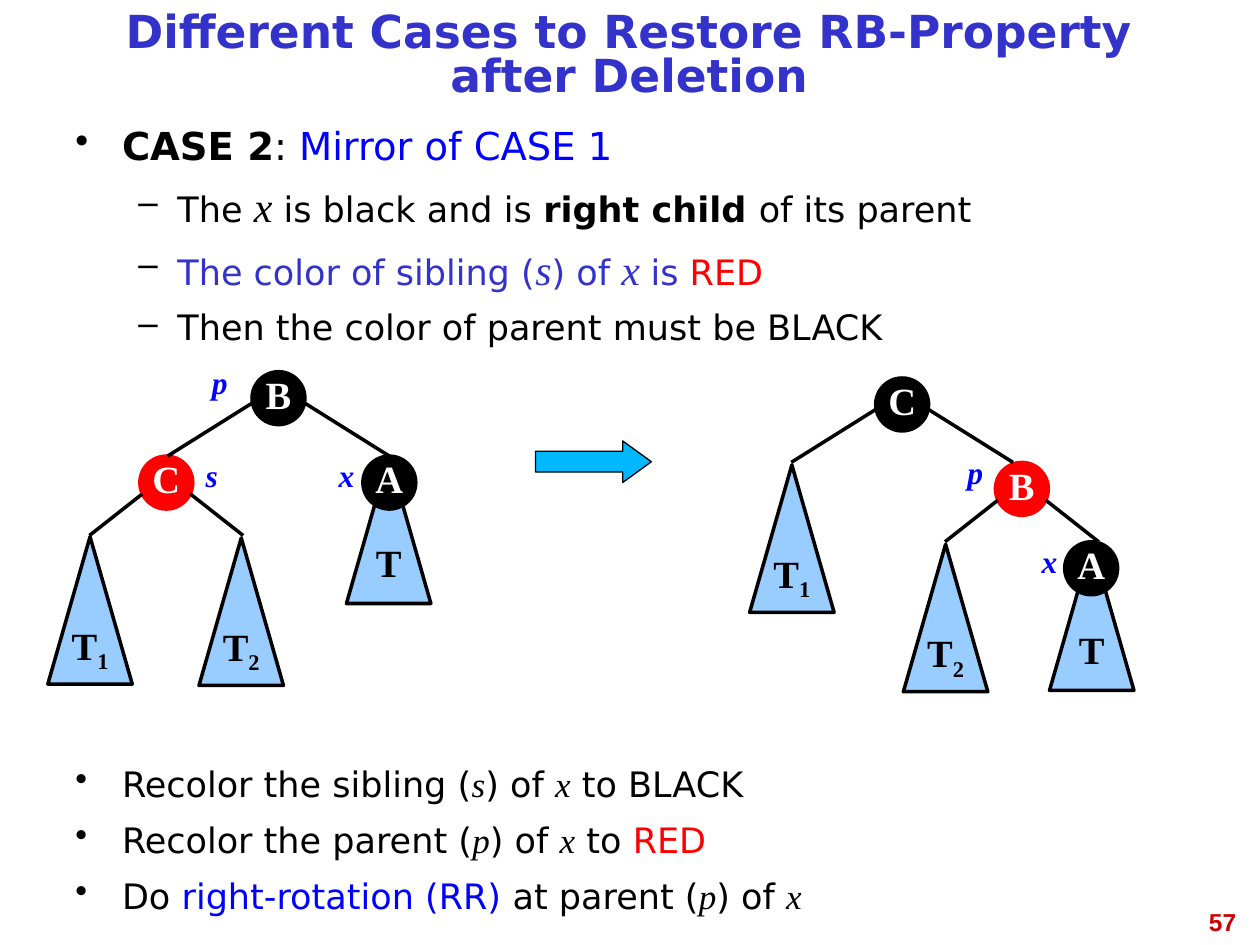
from lxml.etree import SubElement
from pptx import Presentation
from pptx.dml.color import RGBColor
from pptx.enum.shapes import MSO_CONNECTOR, MSO_SHAPE
from pptx.enum.text import MSO_ANCHOR, PP_ALIGN
from pptx.oxml.ns import qn
from pptx.util import Inches, Pt

SANS, SERIF = "DejaVu Sans", "Times New Roman"
BLACK, WHITE, RED, BLUE, INDIGO = "000000", "FFFFFF", "FF0000", "0000FF", "3333CC"
SUBTREE_BLUE, ARROW_BLUE, NUMBER_RED = "99CCFF", "00B8FF", "CC0000"
NODE_SIZE, TREE_WIDTH, TREE_HEIGHT = 0.42, 0.67, 1.17


def color(value):
    return RGBColor.from_string(value)


def variable(text, size=20, ink=BLACK):
    """An italic serif variable name inside a sentence."""
    return text, dict(size=size, ink=ink, face=SERIF, italic=True)


class SlideBuilder:
    def __init__(self, slide):
        self.slide = slide

    def style(self, span, size=20, ink=BLACK, face=SANS, bold=False, italic=False):
        font = span.font
        font.size, font.name, font.bold, font.italic = Pt(size), face, bold, italic
        font.color.rgb = color(ink)

    def text(self, left, top, width, height, words, align=PP_ALIGN.CENTER,
             anchor=MSO_ANCHOR.TOP, spacing=None, **look):
        box = self.slide.shapes.add_textbox(
            Inches(left), Inches(top), Inches(width), Inches(height))
        frame = box.text_frame
        frame.word_wrap = True
        frame.vertical_anchor = anchor
        frame.text = words
        para = frame.paragraphs[0]
        para.alignment = align
        if spacing:
            para.line_spacing = spacing
        self.style(para.runs[0], **look)

    def label(self, left, top, width, words):
        self.text(left, top, width, 0.4, words, size=18, ink=BLUE, face=SERIF,
                  bold=True, italic=True)

    def bullets(self, left, top, width, height, items):
        """Each item is (level, spans); each span is (words, look)."""
        box = self.slide.shapes.add_textbox(
            Inches(left), Inches(top), Inches(width), Inches(height))
        frame = box.text_frame
        frame.word_wrap = True
        for index, (level, spans) in enumerate(items):
            para = frame.add_paragraph() if index else frame.paragraphs[0]
            mark, margin, indent, gap = [("•", 0.37, -0.37, 8), ("–", 0.81, -0.31, 7)][level]
            properties = para._p.get_or_add_pPr()
            properties.set("marL", str(Inches(margin)))
            properties.set("indent", str(Inches(indent)))
            tint = SubElement(properties, qn("a:buClr"))
            SubElement(tint, qn("a:srgbClr")).set("val", BLACK)
            SubElement(properties, qn("a:buChar")).set("char", mark)
            para.level = level
            para.alignment = PP_ALIGN.JUSTIFY
            if index:
                para.space_before = Pt(gap)
            for words, look in spans:
                span = para.add_run()
                span.text = words
                self.style(span, **look)

    def shape(self, kind, left, top, width, height, fill, line=BLACK, weight=2):
        shape = self.slide.shapes.add_shape(
            kind, Inches(left), Inches(top), Inches(width), Inches(height))
        shape.shadow.inherit = False
        shape.fill.solid()
        shape.fill.fore_color.rgb = color(fill)
        shape.line.color.rgb = color(line)
        shape.line.width = Pt(weight)
        return shape

    def caption(self, shape, words, ink, subscript=""):
        frame = shape.text_frame
        frame.word_wrap = False
        frame.vertical_anchor = MSO_ANCHOR.MIDDLE
        frame.text = words
        para = frame.paragraphs[0]
        para.alignment = PP_ALIGN.CENTER
        para.line_spacing = 0.81
        if subscript:
            span = para.add_run()
            span.text = subscript
            span.font._element.set("baseline", "-25000")
        for span in para.runs:
            self.style(span, size=22, ink=ink, face=SERIF, bold=True)

    def node(self, left, top, name, fill=BLACK):
        circle = self.shape(MSO_SHAPE.OVAL, left, top, NODE_SIZE, NODE_SIZE, fill, fill)
        self.caption(circle, name, WHITE)

    def subtree(self, left, top, subscript=""):
        triangle = self.shape(MSO_SHAPE.ISOSCELES_TRIANGLE, left, top,
                              TREE_WIDTH, TREE_HEIGHT, SUBTREE_BLUE)
        self.caption(triangle, "T", BLACK, subscript)

    def fork(self, left, top, start, reach):
        """Two mirrored edges below a node; start is measured from its centre."""
        middle_x, middle_y = left + NODE_SIZE / 2, top + NODE_SIZE / 2
        for side in (-1, 1):
            x, y = middle_x + side * start[0], middle_y + start[1]
            edge = self.slide.shapes.add_connector(
                MSO_CONNECTOR.STRAIGHT, Inches(x), Inches(y),
                Inches(x + side * reach[0]), Inches(y + reach[1]))
            edge.line.color.rgb = color(BLACK)
            edge.line.width = Pt(2)
            SubElement(edge._element.spPr, qn("a:effectLst"))

    def tree(self, subtrees, root, red, leaf):
        for subtree in subtrees:
            self.subtree(*subtree)
        self.node(*root)
        self.node(*red, fill=RED)
        self.node(*leaf)
        self.fork(*root[:2], start=(0.21, 0.04), reach=(0.67, 0.42))
        self.fork(*red[:2], start=(0.19, 0.09), reach=(0.42, 0.33))


def main():
    deck = Presentation()
    deck.slide_width, deck.slide_height = Inches(10), Inches(7.5)
    page = SlideBuilder(deck.slides.add_slide(deck.slide_layouts[6]))
    plain, bold, red = {}, dict(bold=True), dict(ink=RED)
    blue, indigo = dict(ink=BLUE), dict(ink=INDIGO)

    # Slide number and title
    page.text(7.58, 7.15, 2.33, 0.3, "57", align=PP_ALIGN.RIGHT, size=14,
              ink=NUMBER_RED, face="Arial", bold=True)
    page.text(0.5, 0.08, 8.99, 0.75,
              "Different Cases to Restore RB-Property after Deletion",
              anchor=MSO_ANCHOR.MIDDLE, spacing=0.81, size=26, ink=INDIGO, bold=True)

    # Conditions of the case
    page.bullets(0.5, 0.92, 8.99, 1.92, [
        (0, [("CASE 2", dict(size=22, bold=True)), (": ", dict(size=22)),
             ("Mirror of CASE 1", dict(size=22, ink=BLUE))]),
        (1, [("The ", plain), variable("x", 24), (" is black and is ", plain),
             ("right child ", bold), ("of its parent", plain)]),
        (1, [("The color of sibling (", indigo), variable("s", 24, INDIGO),
             (") of ", indigo), variable("x ", 24, INDIGO), ("is ", indigo), ("RED", red)]),
        (1, [("Then the color of parent must be BLACK", plain)]),
    ])

    # Tree before the rotation
    page.tree([(2.75, 3.62), (0.38, 4.26, "1"), (1.58, 4.27, "2")],
              root=(2, 2.95, "B"), red=(1.11, 3.62, "C"), leaf=(2.88, 3.62, "A"))
    page.label(1.33, 2.83, 0.83, "p")
    page.label(2.5, 3.57, 0.5, "x")
    page.label(1.39, 3.57, 0.58, "s")

    # Arrow between the trees
    arrow = page.shape(MSO_SHAPE.RIGHT_ARROW, 4.25, 3.5, 0.92, 0.33, ARROW_BLUE, weight=0.75)
    arrow.adjustments[1] = 0.69

    # Tree after the rotation
    page.tree([(5.95, 3.69, "1"), (7.17, 4.32, "2"), (8.33, 4.31)],
              root=(6.95, 3, "C"), red=(7.9, 3.67, "B"), leaf=(8.45, 4.3, "A"))
    page.label(7.45, 3.55, 0.58, "p")
    page.label(8.08, 4.25, 0.5, "x")

    # Steps to take
    page.bullets(0.5, 6, 8.99, 1.25, [
        (0, [("Recolor the sibling (", plain), variable("s"), (") of ", plain),
             variable("x"), (" to BLACK", plain)]),
        (0, [("Recolor the parent (", plain), variable("p"), (") of ", plain),
             variable("x"), (" to ", plain), ("RED", red)]),
        (0, [("Do ", plain), ("right-rotation (RR)", blue), (" at parent (", plain),
             variable("p"), (") of ", plain), variable("x")]),
    ])

    deck.save("out.pptx")


if __name__ == "__main__":
    main()
